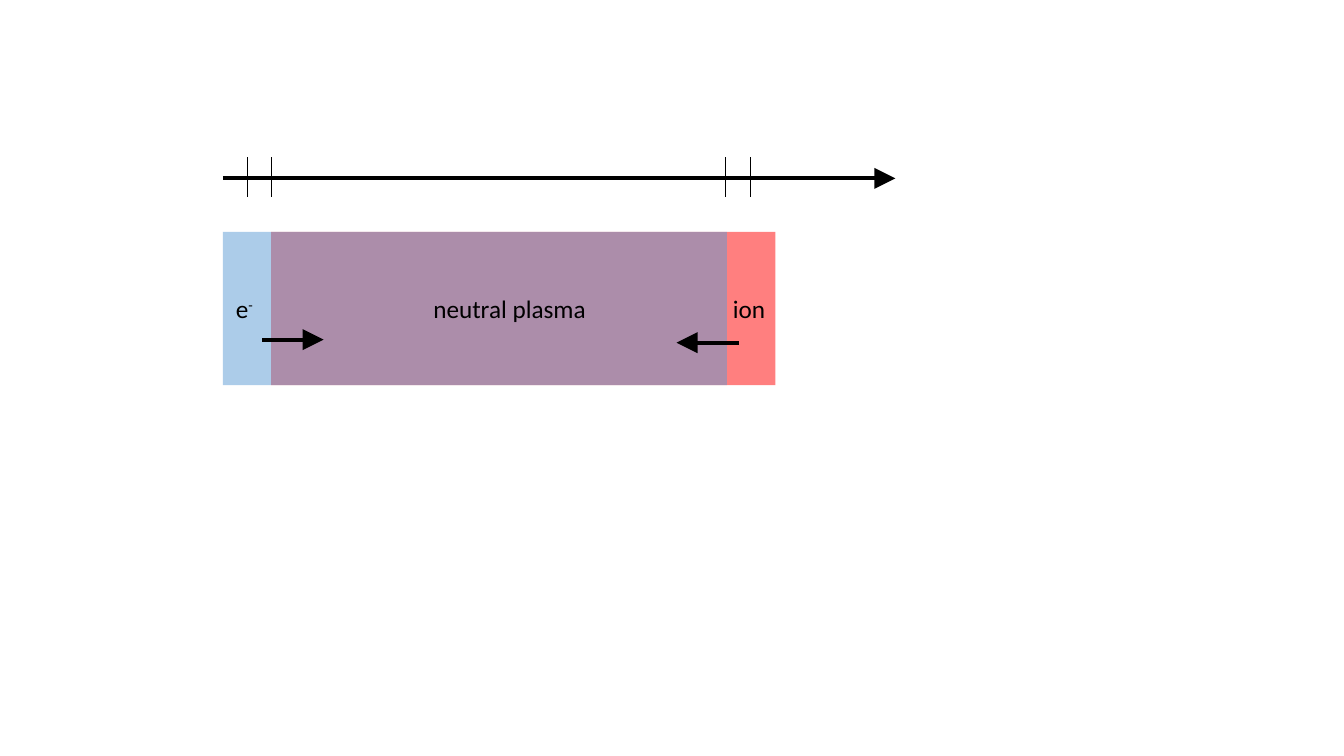
import pptx
import pptx.util
import pptx.dml.color
import pptx.enum.shapes
import pptx.enum.text
import pptx.oxml.ns
import lxml.etree

Inches = pptx.util.Inches
LEFT, TOP, WIDTH, HEIGHT = 2.21, 2.3, 5, 1.52
SHIFT = 0.48
AXIS, AXIS_END = 1.77, 8.88
TICK_TOP, TICK_BASE = 1.56, 1.95
TICKS = (LEFT + SHIFT / 2, LEFT + SHIFT, 7.19, 7.44)
CLOUDS = ((LEFT + SHIFT, "FF0000"), (LEFT, "5B9BD5"))
LABEL_TOP, LABEL_HEIGHT = 2.86, 0.4
LABELS = (
    (4.2, 1.73, "neutral plasma", ""),
    (7.17, 0.53, "ion", ""),
    (2.24, 0.38, "e", "-"),
)
PULLS = ((2.6, 3.21, 3.37), (7.33, 6.71, 3.4))


def color(code):
    return pptx.dml.color.RGBColor.from_string(code)


def add_node(owner, tag, **values):
    return lxml.etree.SubElement(owner, pptx.oxml.ns.qn(tag), values)


def add_text(para, text, size=18, font="Calibri", ink="000000", raised=0):
    run = para.add_run()
    run.text = text
    run.font.size = pptx.util.Pt(size)
    run.font.name = font
    run.font.color.rgb = color(ink)
    if raised:
        run.font._element.set("baseline", str(raised * 1000))


class Sketch:
    """Hold the style and current slide, and draw each kind of element."""

    ink = "000000"
    font = "Calibri"
    size = 18
    thin = 0.5
    thick = 3
    alpha = 50

    def __init__(self, slide):
        self.slide = slide

    def block(self, left, top, width, height, fill):
        shape = self.slide.shapes.add_shape(
            pptx.enum.shapes.MSO_SHAPE.RECTANGLE,
            Inches(left), Inches(top), Inches(width), Inches(height))
        shape.shadow.inherit = False
        shape.fill.solid()
        shape.fill.fore_color.rgb = color(fill)
        shape.line.fill.background()
        tone = shape._element.spPr.find(pptx.oxml.ns.qn("a:solidFill"))[0]
        add_node(tone, "a:alpha", val=str(self.alpha * 1000))

    def line(self, x1, y1, x2, y2):
        wire = self.slide.shapes.add_connector(
            pptx.enum.shapes.MSO_CONNECTOR.STRAIGHT,
            Inches(x1), Inches(y1), Inches(x2), Inches(y2))
        wire.line.color.rgb = color(self.ink)
        wire.line.width = pptx.util.Pt(self.thin)
        add_node(wire._element.spPr, "a:effectLst")
        return wire

    def arrow(self, start, end, y):
        wire = self.line(start, y, end, y)
        wire.line.width = pptx.util.Pt(self.thick)
        edge = wire._element.spPr.find(pptx.oxml.ns.qn("a:ln"))
        add_node(edge, "a:tailEnd", type="triangle", w="lg", len="lg")

    def label(self, left, top, width, height, text, sup):
        box = self.slide.shapes.add_textbox(
            Inches(left), Inches(top), Inches(width), Inches(height))
        frame = box.text_frame
        frame.word_wrap = False
        frame.auto_size = pptx.enum.text.MSO_AUTO_SIZE.SHAPE_TO_FIT_TEXT
        style = {"size": self.size, "font": self.font, "ink": self.ink}
        para = frame.paragraphs[0]
        add_text(para, text, **style)
        if sup:
            add_text(para, sup, raised=30, **style)


def main():
    deck = pptx.Presentation()
    deck.slide_width = Inches(13.33)
    deck.slide_height = Inches(7.5)
    sketch = Sketch(deck.slides.add_slide(deck.slide_layouts[6]))

    for left, fill in CLOUDS:
        sketch.block(left, TOP, WIDTH, HEIGHT, fill)

    sketch.arrow(LEFT, AXIS_END, AXIS)
    for x in TICKS:
        sketch.line(x, TICK_BASE, x, TICK_TOP)

    for left, width, text, sup in LABELS:
        sketch.label(left, LABEL_TOP, width, LABEL_HEIGHT, text, sup)

    for start, end, y in PULLS:
        sketch.arrow(start, end, y)

    deck.save("out.pptx")


if __name__ == "__main__":
    main()
